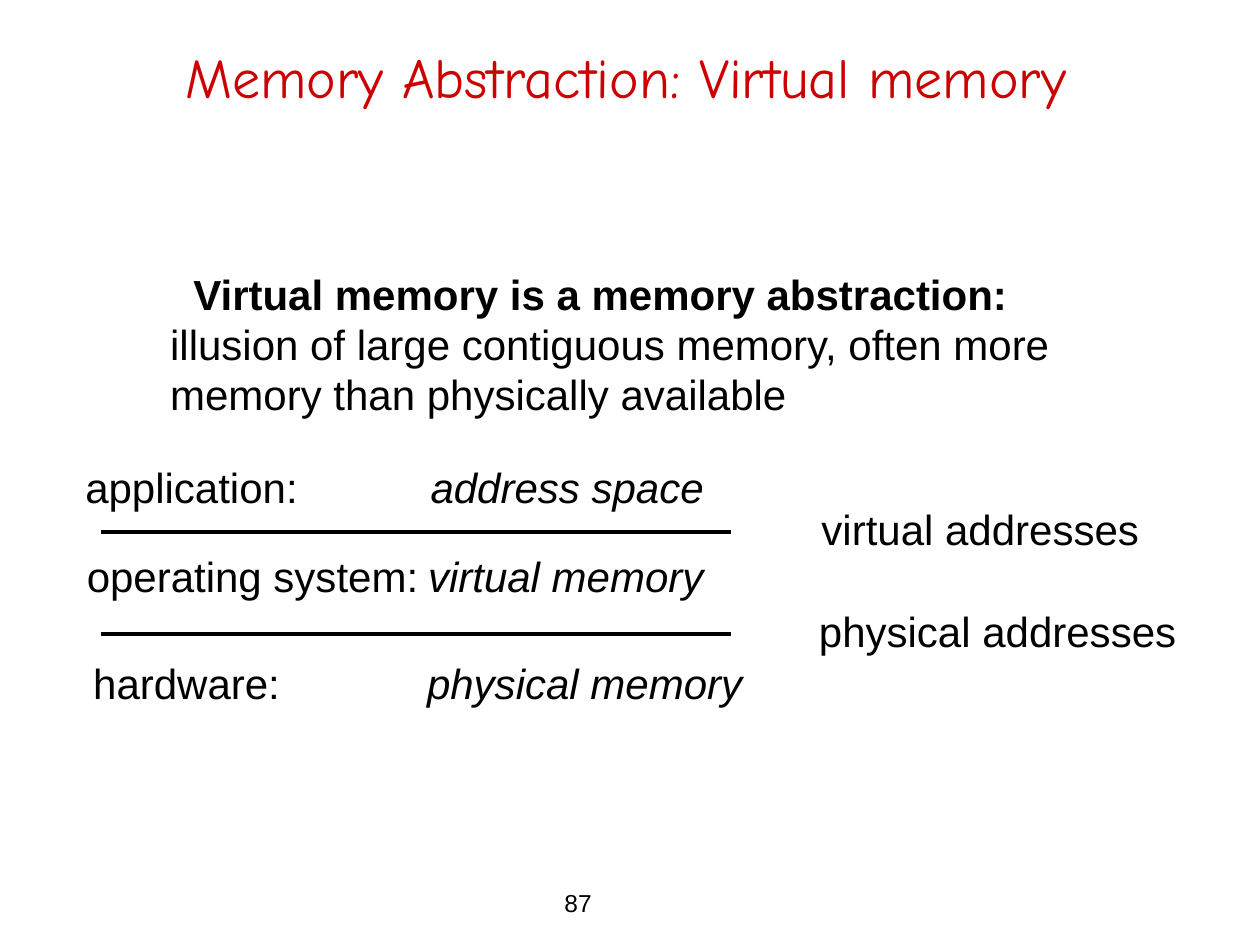
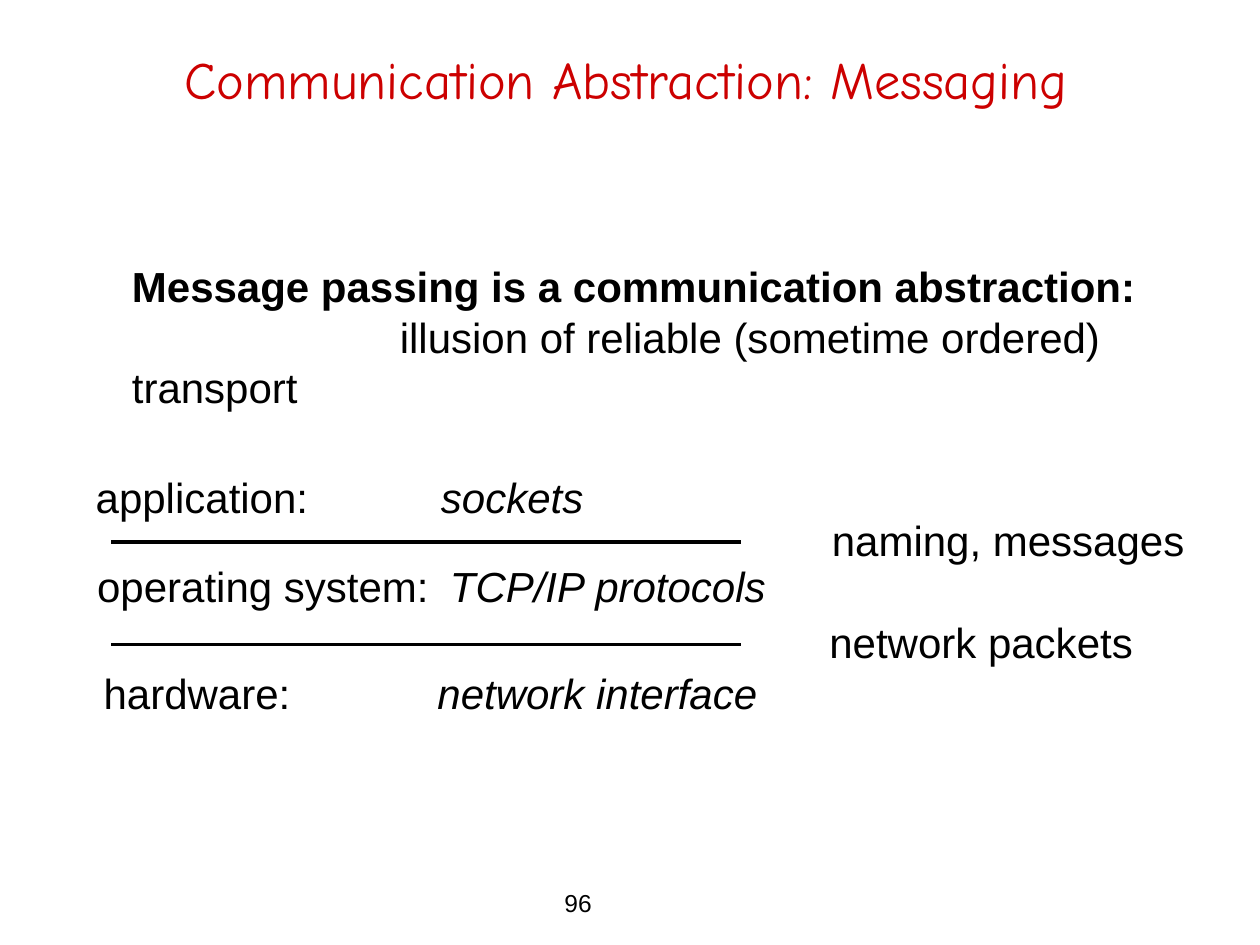
"""Build two slides on the memory and communication abstractions of an operating system."""
from dataclasses import dataclass

from lxml.etree import SubElement
from pptx import Presentation
from pptx.dml.color import RGBColor
from pptx.enum.shapes import MSO_CONNECTOR as Connector
from pptx.enum.text import MSO_ANCHOR as Anchor, PP_ALIGN as Align
from pptx.oxml.ns import qn
from pptx.slide import Slide
from pptx.util import Cm, Pt

COLORS = {"title": "CC0000", "text": "000000", "line": "000000"}
BODY_FONT = "Arial"
TITLE_FONT = "Comic Neue"
ROW_HEIGHT = 1.27
LINE_LEFT, LINE_LENGTH = 2.03, 12.7
LINE_TOPS = (10.72, 12.78)
LAYER_PLACES = ((1.47, 9.17), (1.5, 10.97), (1.63, 13.13))
INTERFACE_PLACES = ((16.31, 10.03), (16.26, 12.09))


@dataclass(frozen=True)
class Phrase:
    text: str
    bold: bool = False
    italic: bool = False


@dataclass(frozen=True)
class Line:
    phrases: tuple[Phrase, ...]
    indent: float = 0
    tab: float = 0


@dataclass(frozen=True)
class Box:
    left: float
    top: float
    width: float
    height: float = ROW_HEIGHT


@dataclass(frozen=True)
class Layer:
    label: str
    value: str
    tab: float
    width: float


@dataclass(frozen=True)
class Interface:
    text: str
    width: float


@dataclass(frozen=True)
class Abstraction:
    title: str
    title_size: int
    number: str
    definition_box: Box
    definition: tuple[Line, ...]
    layers: tuple[Layer, ...]
    interfaces: tuple[Interface, ...]
    shift: float = 0


ABSTRACTIONS = (
    Abstraction(
        title="Memory Abstraction: Virtual memory",
        title_size=32,
        number="87",
        definition_box=Box(3.18, 5.28, 19.69, 3.3),
        definition=(
            Line((Phrase("Virtual memory is a memory abstraction:", bold=True),), indent=0.47),
            Line((Phrase("illusion of large contiguous memory, often more "
                         "memory than physically available"),)),
        ),
        layers=(
            Layer("application:", "address space", 6.96, 13.1),
            Layer("operating system:", "virtual memory", 6.88, 13.1),
            Layer("hardware:", "physical memory", 6.73, 13.7),
        ),
        interfaces=(Interface("virtual addresses", 7), Interface("physical addresses", 7.8)),
    ),
    Abstraction(
        title="Communication Abstraction: Messaging",
        title_size=30,
        number="96",
        definition_box=Box(2.41, 5.13, 20.88, 3.3),
        definition=(
            Line((Phrase("Message passing is a communication abstraction:", bold=True),)),
            Line((Phrase("illusion of reliable (sometime ordered) transport"),), indent=5.4),
        ),
        layers=(
            Layer("application:", "sockets", 6.96, 10.4),
            Layer("operating system:", "TCP/IP protocols", 7.11, 14.2),
            Layer("hardware:", "network interface", 6.73, 13.8),
        ),
        interfaces=(Interface("naming, messages", 7.7), Interface("network packets", 6.7)),
        shift=0.21,
    ),
)


def add_text(slide: Slide, box: Box, text: str | tuple[Line, ...], *, size: int = 24,
             font: str = BODY_FONT, color: str = "text", align: Align = Align.LEFT,
             anchor: Anchor = Anchor.TOP) -> None:
    shape = slide.shapes.add_textbox(Cm(box.left), Cm(box.top), Cm(box.width), Cm(box.height))
    frame = shape.text_frame
    frame.word_wrap = True
    frame.vertical_anchor = anchor
    lines = (Line((Phrase(text),)),) if isinstance(text, str) else text
    for index, line in enumerate(lines):
        paragraph = frame.add_paragraph() if index else frame.paragraphs[0]
        paragraph.alignment = align
        properties = paragraph._p.get_or_add_pPr()
        if line.indent:
            properties.set("marL", "0")
            properties.set("indent", str(int(Cm(line.indent))))
        if line.tab:
            tabs = SubElement(properties, qn("a:tabLst"))
            SubElement(tabs, qn("a:tab"), pos=str(int(Cm(line.tab))), algn="l")
        for phrase in line.phrases:
            run = paragraph.add_run()
            run.text = phrase.text
            run.font.name = font
            run.font.size = Pt(size)
            run.font.bold = phrase.bold
            run.font.italic = phrase.italic
            run.font.color.rgb = RGBColor.from_string(COLORS[color])


def add_boundary(slide: Slide, left: float, top: float) -> None:
    connector = slide.shapes.add_connector(
        Connector.STRAIGHT, Cm(left), Cm(top), Cm(left + LINE_LENGTH), Cm(top))
    connector.line.width = Pt(2)
    connector.line.color.rgb = RGBColor.from_string(COLORS["line"])
    SubElement(connector._element.spPr, qn("a:effectLst"))


def add_frame(slide: Slide, abstraction: Abstraction) -> None:
    add_text(slide, Box(11.13, 17.78, 2.77, 0.86), abstraction.number, size=14)
    add_text(slide, Box(1.12, 0.43, 23.01, 1.91), abstraction.title,
             size=abstraction.title_size, font=TITLE_FONT, color="title",
             align=Align.CENTER, anchor=Anchor.BOTTOM)


def add_stack(slide: Slide, abstraction: Abstraction) -> None:
    shift = abstraction.shift
    for top in LINE_TOPS:
        add_boundary(slide, LINE_LEFT + shift, top + shift)
    for layer, (left, top) in zip(abstraction.layers, LAYER_PLACES):
        line = Line((Phrase(f"{layer.label}\t"), Phrase(layer.value, italic=True)), tab=layer.tab)
        add_text(slide, Box(left + shift, top + shift, layer.width), (line,))
    for interface, (left, top) in zip(abstraction.interfaces, INTERFACE_PLACES):
        add_text(slide, Box(left + shift, top + shift, interface.width), interface.text)


def main() -> None:
    presentation = Presentation()
    presentation.slide_width, presentation.slide_height = Cm(25.4), Cm(19.05)
    for abstraction in ABSTRACTIONS:
        slide = presentation.slides.add_slide(presentation.slide_layouts[6])
        add_frame(slide, abstraction)
        add_text(slide, abstraction.definition_box, abstraction.definition)
        add_stack(slide, abstraction)
    presentation.save("out.pptx")


if __name__ == "__main__":
    main()
